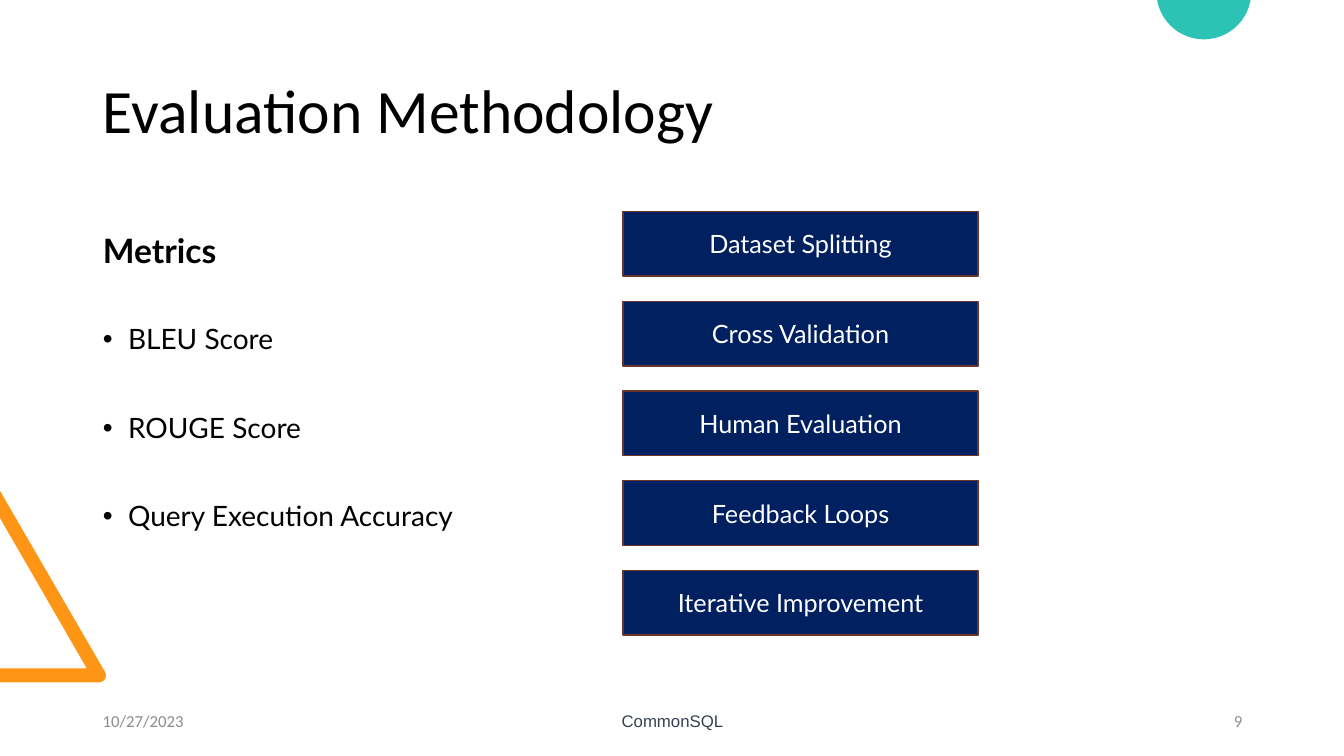
import math
import pptx
import pptx.util
import pptx.dml.color
import pptx.enum.shapes
import pptx.enum.text
import pptx.oxml
import pptx.oxml.ns

WIDE, HIGH = 13.33, 7.5
TITLE = "Evaluation Methodology"
HEAD = "Metrics"
METRICS = ["BLEU Score", "ROUGE Score", "Query Execution Accuracy"]
STEPS = ["Dataset Splitting", "Cross Validation", "Human Evaluation",
         "Feedback Loops", "Iterative Improvement"]
FOOT = [("10/27/2023", 0.92, 3, "LEFT", "Calibri", "gray"),
        ("CommonSQL", 4.42, 4.5, "CENTER", "Arial", "slate"),
        ("9", 9.42, 3, "RIGHT", "Calibri", "gray")]
HUES = {"black": "000000", "white": "FFFFFF", "navy": "002060", "rust": "68342B",
        "teal": "2CC3B4", "orange": "FF9514", "gray": "8C8C8C", "slate": "374151"}
LEFT = 0.92
STACK = {"left": 6.18, "top": 2.1, "wide": 3.52, "high": 0.64, "pitch": 0.89}

Inch, Pt = pptx.util.Inches, pptx.util.Pt
Align, Anchor = pptx.enum.text.PP_ALIGN, pptx.enum.text.MSO_ANCHOR


def hue(name):
    return pptx.dml.color.RGBColor.from_string(HUES[name])


def place(shape, *box):
    shape.left, shape.top, shape.width, shape.height = map(Inch, box)


def write(shape, lines, font="Lato", size=20, color="black", bold=False,
          align="LEFT", anchor="MIDDLE", line=1.0, gap=0, inset=0.05, bullet=False):
    frame = shape.text_frame
    frame.word_wrap = True
    frame.auto_size = pptx.enum.text.MSO_AUTO_SIZE.NONE
    frame.vertical_anchor = getattr(Anchor, anchor)
    frame.margin_top = Inch(inset)
    frame.text = "\n".join(lines)
    for spot, para in enumerate(frame.paragraphs):
        para.alignment = getattr(Align, align)
        para.line_spacing = line
        para.space_before = Pt(gap if spot else 0)
        para.space_after = Pt(0)
        face = para.runs[0].font
        face.name, face.size, face.bold = font, Pt(size), bold
        face.color.rgb = hue(color)
        if bullet:
            props = para._p.get_or_add_pPr()
            props.set("marL", str(Inch(0.25)))
            props.set("indent", str(Inch(-0.25)))
            props.append(pptx.oxml.parse_xml(
                '<a:buFont %s typeface="Arial"/>' % pptx.oxml.ns.nsdecls("a")))
            props.append(pptx.oxml.parse_xml(
                '<a:buChar %s char="•"/>' % pptx.oxml.ns.nsdecls("a")))


def paint(shape, fill, edge=None):
    shape.shadow.inherit = False
    shape.fill.solid()
    shape.fill.fore_color.rgb = hue(fill)
    if edge:
        shape.line.color.rgb = hue(edge)
        shape.line.width = Pt(1)
    else:
        shape.line.fill.background()


def arc(mid, ray, start, end, count=40):
    turns = [math.radians(start + (end - start) * i / count) for i in range(count + 1)]
    return [(mid[0] + ray * math.cos(t), mid[1] + ray * math.sin(t)) for t in turns]


def outline(slide, dots, fill):
    pen = slide.shapes.build_freeform(Inch(dots[0][0]), Inch(dots[0][1]))
    pen.add_line_segments([(Inch(x), Inch(y)) for x, y in dots[1:]])
    shape = pen.convert_to_shape()
    paint(shape, fill)
    return shape


def main():
    deck = pptx.Presentation()
    deck.slide_width, deck.slide_height = Inch(WIDE), Inch(HIGH)
    slide = deck.slides.add_slide(deck.slide_layouts[4])
    title, head, body, *spare = list(slide.placeholders)
    for item in spare:
        item.element.getparent().remove(item.element)

    wedge = [(0, 6.77), (0, 6.63), (0.86, 6.63), (0, 5.14), (0, 4.87)]
    wedge += arc((0.98, 6.7), 0.07, -30, 90)
    tilt = math.degrees(math.asin(0.08 / 0.47))
    disc = arc((11.94, -0.08), 0.47, tilt, 180 - tilt)
    for spot, (dots, fill) in enumerate([(wedge, "orange"), (disc, "teal")]):
        shape = outline(slide, dots, fill)
        slide.shapes._spTree.insert(2 + spot, shape._element)

    place(title, LEFT, 0.4, 11.5, 1.45)
    write(title, [TITLE], font="Calibri", size=44, line=0.9)
    place(head, LEFT, 1.84, 4.7, 0.9)
    write(head, [HEAD], size=24, bold=True, anchor="BOTTOM", line=0.9)
    place(body, LEFT, 2.74, 4.85, 4.03)
    write(body, METRICS, anchor="TOP", line=0.9, gap=41.6, inset=0.49, bullet=True)

    for text, left, wide, align, font, color in FOOT:
        note = slide.shapes.add_textbox(Inch(left), Inch(6.95), Inch(wide), Inch(0.4))
        write(note, [text], font=font, size=12, color=color, align=align)

    for row, text in enumerate(STEPS):
        step = slide.shapes.add_shape(
            pptx.enum.shapes.MSO_SHAPE.RECTANGLE, Inch(STACK["left"]),
            Inch(STACK["top"] + row * STACK["pitch"]),
            Inch(STACK["wide"]), Inch(STACK["high"]))
        paint(step, "navy", "rust")
        write(step, [text], size=18, color="white", align="CENTER")

    deck.save("out.pptx")


if __name__ == "__main__":
    main()
